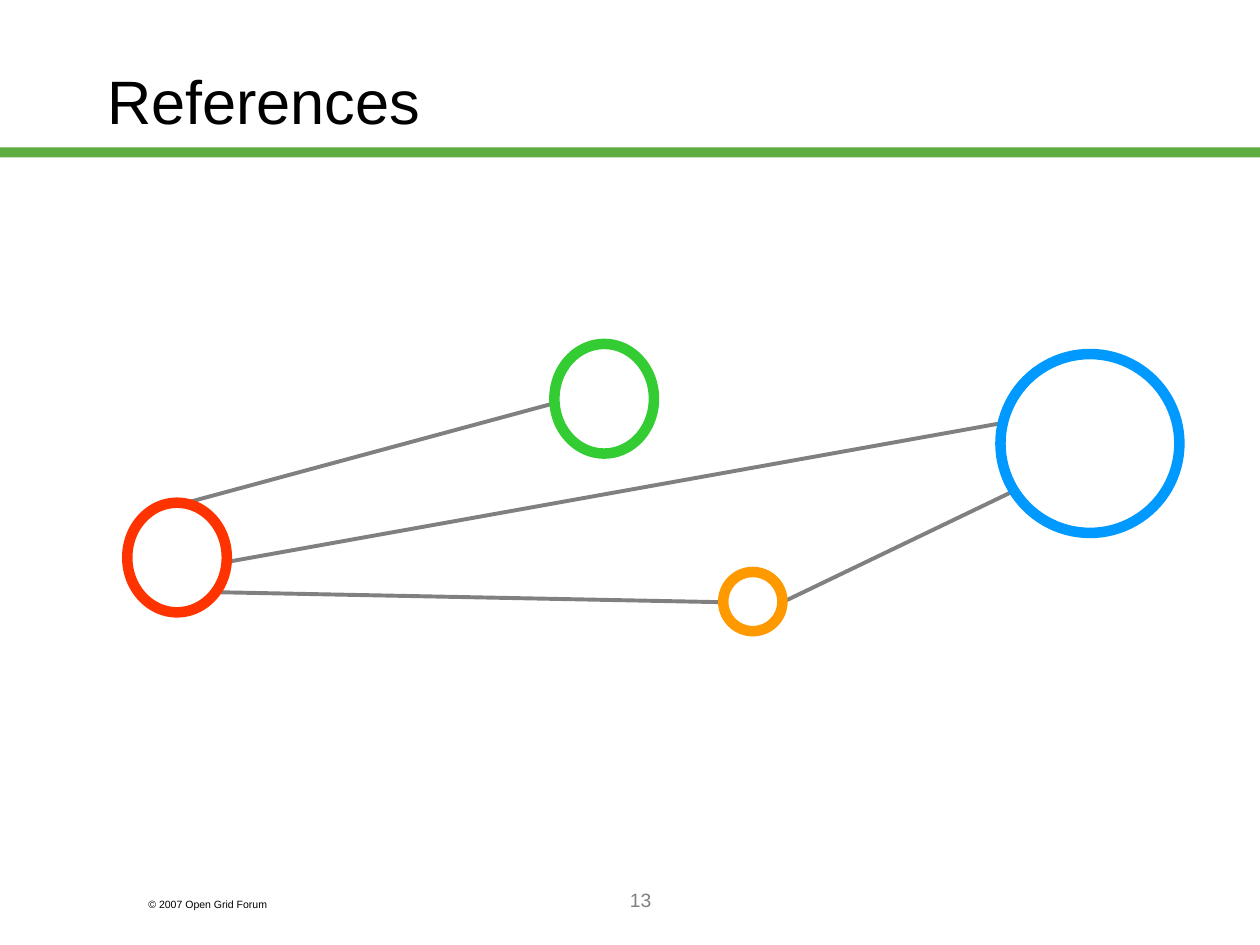
import pptx
import pptx.dml.color
import pptx.enum.shapes
import pptx.enum.text
import pptx.oxml.ns
import pptx.util
from lxml import etree

WIDTH, HEIGHT = pptx.util.Inches(10), pptx.util.Inches(7.5)
SHAPES = pptx.enum.shapes.MSO_SHAPE
ALIGN = pptx.enum.text.PP_ALIGN
ANCHOR = pptx.enum.text.MSO_ANCHOR

LINKS = [
    (62.1, 63.73, 80.2, 52.13),
    (17.2, 62.67, 57.4, 63.73),
    (18, 59.47, 79.4, 44.8),
    (14.8, 53.2, 44, 42.67),
]
NODES = [
    (10.1, 53.2, 7.9, 11.6, "FF3300"),
    (79.4, 37.47, 14.2, 18.93, "0099FF"),
    (44, 36.4, 7.9, 11.6, "33CC33"),
    (57.4, 60.53, 4.7, 6.27, "FF9900"),
]


def color(value):
    """Turn a hex string into a colour."""
    return pptx.dml.color.RGBColor.from_string(value)


def shares(across, down, *rest):
    """Turn percentages of the slide's width and height into lengths."""
    values = (across, down, *rest)
    return [int(value * (HEIGHT if index % 2 else WIDTH) / 100)
            for index, value in enumerate(values)]


def set_text(shape, text, size, hue, align, anchor):
    """Write one styled paragraph into a shape."""
    frame = shape.text_frame
    frame.word_wrap = True
    frame.vertical_anchor = anchor
    paragraph = frame.paragraphs[0]
    paragraph.text = text
    paragraph.alignment = align
    paragraph.font.name = "Arial"
    paragraph.font.size = pptx.util.Pt(size)
    paragraph.font.color.rgb = color(hue)


def set_title(slide, text, box):
    """Place and format the title placeholder."""
    title = slide.shapes.title
    title.left, title.top, title.width, title.height = shares(*box)
    set_text(title, text, 35, "000000", ALIGN.LEFT, ANCHOR.MIDDLE)


def add_label(slide, text, box, size, hue, align):
    """Add a text box."""
    label = slide.shapes.add_textbox(*shares(*box))
    set_text(label, text, size, hue, align, ANCHOR.TOP)


def add_filled(slide, kind, box, fill):
    """Add a filled preset shape without an outline."""
    shape = slide.shapes.add_shape(kind, *shares(*box))
    shape.shadow.inherit = False
    shape.fill.solid()
    shape.fill.fore_color.rgb = color(fill)
    shape.line.fill.background()
    return shape


def add_node(slide, box, hue):
    """Add a white ellipse with a thick coloured outline."""
    node = add_filled(slide, SHAPES.OVAL, box, "FFFFFF")
    node.line.color.rgb = color(hue)
    node.line.width = pptx.util.Pt(6)


def add_link(slide, ends):
    """Add a straight grey line between two points."""
    link = slide.shapes.add_connector(
        pptx.enum.shapes.MSO_CONNECTOR.STRAIGHT, *shares(*ends))
    link.line.color.rgb = color("808080")
    link.line.width = pptx.util.Pt(2.25)
    properties = link._element.spPr
    etree.SubElement(properties, pptx.oxml.ns.qn("a:effectLst"))


def main():
    """Build the references slide."""
    presentation = pptx.Presentation()
    presentation.slide_width, presentation.slide_height = WIDTH, HEIGHT
    slide = presentation.slides.add_slide(presentation.slide_layouts[5])
    add_filled(slide, SHAPES.RECTANGLE, (0, 15.6, 100, 1.07), "5DAD41")
    set_title(slide, "References", (7.5, 2.27, 85, 16.67))
    add_label(slide, "© 2007 Open Grid Forum", (10.8, 94.4, 15, 2.67),
              6, "000000", ALIGN.LEFT)
    add_label(slide, "13", (21.7, 93.33, 58.3, 6.67),
              11, "808080", ALIGN.CENTER)
    for ends in LINKS:
        add_link(slide, ends)
    for *box, hue in NODES:
        add_node(slide, box, hue)
    presentation.save("out.pptx")


if __name__ == "__main__":
    main()
